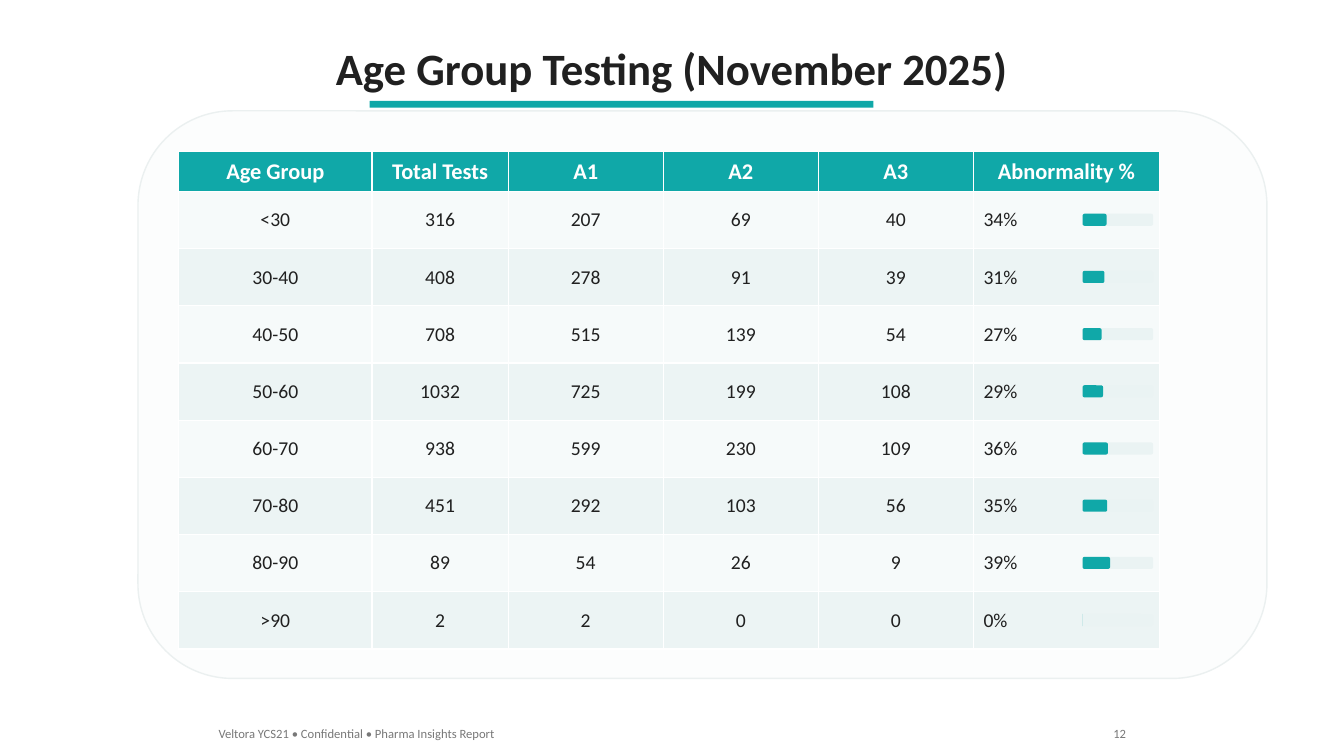
from pptx import Presentation
from pptx.dml.color import RGBColor
from pptx.enum.shapes import MSO_SHAPE
from pptx.enum.text import MSO_ANCHOR, MSO_AUTO_SIZE, PP_ALIGN
from pptx.util import Pt

RECTANGLE = MSO_SHAPE.RECTANGLE
ROUNDED = MSO_SHAPE.ROUNDED_RECTANGLE
LEFT, CENTER, RIGHT = PP_ALIGN.LEFT, PP_ALIGN.CENTER, PP_ALIGN.RIGHT
MIDDLE = MSO_ANCHOR.MIDDLE
GROW = MSO_AUTO_SIZE.SHAPE_TO_FIT_TEXT

WHITE = RGBColor(0xFF, 0xFF, 0xFF)
INK = RGBColor(0x20, 0x20, 0x20)
GREY = RGBColor(0x78, 0x78, 0x78)
TEAL = RGBColor(0x10, 0xA8, 0xA8)
PANEL = RGBColor(0xFC, 0xFD, 0xFD)
PANEL_EDGE = RGBColor(0xEB, 0xF0, 0xF0)
ROW_LIGHT = RGBColor(0xF6, 0xFA, 0xFA)
ROW_TINT = RGBColor(0xEC, 0xF4, 0xF4)
TRACK = RGBColor(0xEA, 0xF3, 0xF3)

HEADINGS = ["Age Group", "Total Tests", "A1", "A2", "A3", "Abnormality %"]
AGE_GROUPS = [
    ("<30", 316, 207, 69, 40, 34),
    ("30-40", 408, 278, 91, 39, 31),
    ("40-50", 708, 515, 139, 54, 27),
    ("50-60", 1032, 725, 199, 108, 29),
    ("60-70", 938, 599, 230, 109, 36),
    ("70-80", 451, 292, 103, 56, 35),
    ("80-90", 89, 54, 26, 9, 39),
    (">90", 2, 2, 0, 0, 0),
]
COLUMN_WIDTHS = [138.2, 97.2, 110.8, 110.8, 110.8, 133]
HEADER_HEIGHT, ROW_HEIGHT = 28.8, 40.85
TABLE_LEFT, TABLE_TOP = 127.6, 108
BAR_LEFT, BAR_TOP, BAR_WIDTH, BAR_HEIGHT = 773.3, 152.64, 50.4, 8.64


class SlideBuilder:
    font = "Calibri"

    def __init__(self, page):
        self.page = page

    def add_span(self, frame, text, size, color, align=LEFT, bold=False):
        para = frame.paragraphs[0]
        para.alignment = align
        span = para.add_run()
        span.text = text
        span.font.name = self.font
        span.font.size = Pt(size)
        span.font.bold = bold
        span.font.color.rgb = color

    def text(self, left, top, width, height, text, size, color, align=LEFT, bold=False):
        box = self.page.shapes.add_textbox(Pt(left), Pt(top), Pt(width), Pt(height))
        box.text_frame.word_wrap = False
        box.text_frame.auto_size = GROW
        self.add_span(box.text_frame, text, size, color, align, bold)

    def shape(self, kind, left, top, width, height, fill, edge=None):
        shape = self.page.shapes.add_shape(kind, Pt(left), Pt(top), Pt(width), Pt(height))
        shape.shadow.inherit = False
        shape.fill.solid()
        shape.fill.fore_color.rgb = fill
        if edge is None:
            shape.line.fill.background()
        else:
            shape.line.color.rgb = edge
            shape.line.width = Pt(1)

    def cell(self, cell, text, fill, size, color, align, bold=False):
        cell.fill.solid()
        cell.fill.fore_color.rgb = fill
        cell.vertical_anchor = MIDDLE
        self.add_span(cell.text_frame, text, size, color, align, bold)

    def table(self, left, top, widths, headings, records):
        height = HEADER_HEIGHT + ROW_HEIGHT * len(records)
        table = self.page.shapes.add_table(
            len(records) + 1, len(widths), Pt(left), Pt(top), Pt(sum(widths)), Pt(height)
        ).table
        for column, width in zip(table.columns, widths):
            column.width = Pt(width)
        for index, row in enumerate(table.rows):
            row.height = Pt(ROW_HEIGHT if index else HEADER_HEIGHT)
        for column, heading in enumerate(headings):
            self.cell(table.cell(0, column), heading, TEAL, 16, WHITE, CENTER, True)
        for index, (*values, percent) in enumerate(records):
            fill = ROW_TINT if index % 2 else ROW_LIGHT
            for column, value in enumerate(values):
                self.cell(table.cell(index + 1, column), str(value), fill, 14, INK, CENTER)
            self.cell(table.cell(index + 1, len(values)), f"{percent}%", fill, 14, INK, LEFT)

    def progress_bar(self, left, top, percent):
        self.shape(ROUNDED, left, top, BAR_WIDTH, BAR_HEIGHT, TRACK)
        filled = max(BAR_WIDTH * percent / 100, 0.1)
        self.shape(ROUNDED, left, top, filled, BAR_HEIGHT, TEAL)


def main():
    deck = Presentation()
    deck.slide_width, deck.slide_height = Pt(960), Pt(540)
    builder = SlideBuilder(deck.slides.add_slide(deck.slide_layouts[6]))

    builder.text(230.4, 25.2, 499, 46, "Age Group Testing (November 2025)", 32, INK, CENTER, True)
    builder.shape(RECTANGLE, 264, 72, 360, 5, TEAL)
    builder.shape(ROUNDED, 98.6, 79.2, 806.4, 405.4, PANEL, PANEL_EDGE)
    builder.table(TABLE_LEFT, TABLE_TOP, COLUMN_WIDTHS, HEADINGS, AGE_GROUPS)
    for index, record in enumerate(AGE_GROUPS):
        builder.progress_bar(BAR_LEFT, BAR_TOP + index * ROW_HEIGHT, record[-1])
    footer = "Veltora YCS21 • Confidential • Pharma Insights Report"
    builder.text(149, 514.8, 219.6, 18, footer, 9, GREY)
    builder.text(787.7, 514.8, 23.8, 18, "12", 9, GREY, RIGHT)

    deck.save("out.pptx")


if __name__ == "__main__":
    main()
